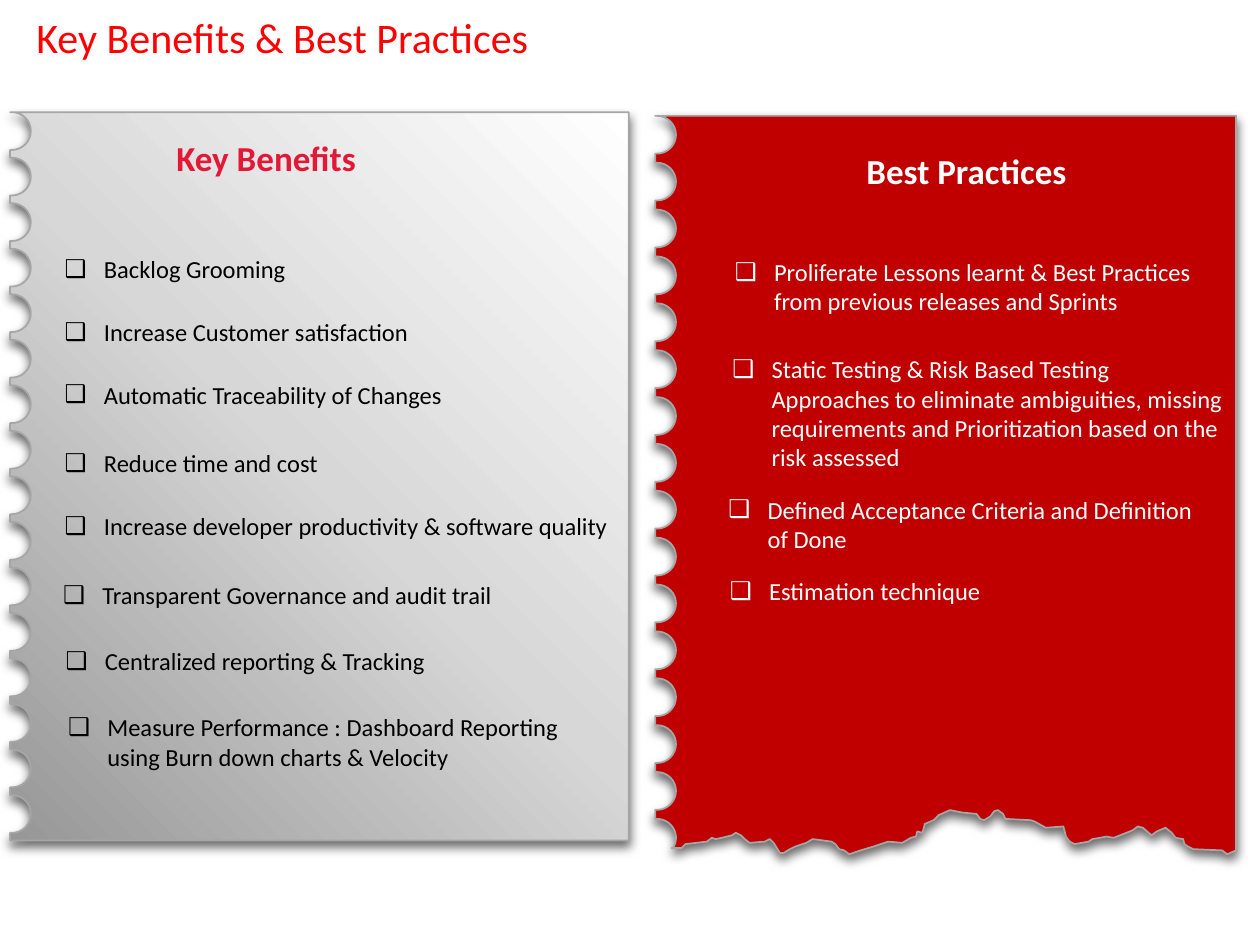
"""Build the Key Benefits and Best Practices slide."""
import math
from copy import deepcopy
from dataclasses import dataclass

from lxml import etree
from pptx import Presentation
from pptx.dml.color import RGBColor
from pptx.enum import text
from pptx.oxml.ns import qn
from pptx.util import Cm, Pt


@dataclass(frozen=True)
class Theme:
    font: str = "Calibri"
    title: str = "FF0000"
    accent: str = "E31837"
    dark: str = "000000"
    light: str = "FFFFFF"
    red: str = "C00000"
    edge: str = "A6A6A6"
    greys: tuple = ((0, "979797"), (0.5, "D7D7D7"), (1, "FFFFFF"))
    title_size: int = 24
    heading_size: int = 20
    body_size: int = 14


@dataclass(frozen=True)
class Box:
    left: float
    top: float
    width: float
    height: float


@dataclass(frozen=True)
class Item:
    words: str
    gap: float = 0
    shift: float = 0
    right: float = 0


@dataclass(frozen=True)
class Panel:
    left: int
    right: int
    top: int
    first_notch: int
    last_notch: int
    bottom: tuple
    last_angle: int = 90


THEME = Theme()
NOTCHES = 16
RADIUS = 15
HANG = 0.79

TORN_EDGE = (
    (981, 675), (974, 678), (970, 675), (947, 674), (943, 672), (940, 670),
    (939, 666), (933, 665), (930, 661), (925, 657), (918, 660), (914, 663),
    (907, 657), (903, 656), (899, 659), (884, 665), (878, 664), (873, 665),
    (867, 666), (864, 668), (853, 670), (849, 668), (846, 664), (844, 656),
    (830, 657), (821, 652), (818, 651), (798, 650), (796, 646), (792, 643),
    (789, 644), (786, 648), (781, 651), (778, 650), (775, 646), (764, 645),
    (754, 643), (745, 647), (741, 651), (734, 654), (733, 658), (732, 661),
    (728, 660), (727, 664), (723, 665), (716, 669), (705, 668), (693, 672),
    (683, 675), (674, 678), (670, 675), (666, 674), (663, 670), (660, 668),
    (645, 666), (640, 669), (631, 672), (627, 674), (622, 677), (619, 677),
    (614, 669), (611, 666), (607, 668), (595, 669), (591, 666), (588, 663),
    (584, 661), (581, 663), (573, 665), (568, 666), (565, 665), (561, 668),
    (544, 670), (541, 673), (533, 673),
)

BENEFITS_PANEL = Panel(8, 499, 89, 104, 646, ((499, 667), (8, 667), (8, 661)))
PRACTICES_PANEL = Panel(520, 981, 92, 107, 665, TORN_EDGE, 34)

BENEFITS = (
    Item("Backlog Grooming", 0, 0.03),
    Item("Increase Customer satisfaction", 19, 0.03),
    Item("Automatic Traceability of Changes", 19, 0.03),
    Item("Reduce time and cost", 22.5, 0.03),
    Item("Increase developer productivity & software quality", 19, 0.03),
    Item("Transparent Governance and audit trail", 22.5),
    Item("Centralized reporting & Tracking", 21, 0.05),
    Item("Measure Performance : Dashboard Reporting using Burn down charts & Velocity", 21, 0.1),
)
PRACTICES = (
    Item("Proliferate Lessons learnt & Best Practices from previous releases and Sprints", 0, 0.13),
    Item("Static Testing & Risk Based Testing Approaches to eliminate ambiguities, "
         "missing requirements and Prioritization based on the risk assessed", 22, 0.08),
    Item("Defined Acceptance Criteria and Definition of Done", 13, 0, 0.43),
    Item("Estimation technique", 13, 0.03),
)


def rgb(value: str) -> RGBColor:
    """Turn a hex string into a colour."""
    return RGBColor.from_string(value)


def outline(panel: Panel) -> list:
    """Return the panel's points, in hundredths of an inch."""
    pts = [(panel.left, panel.top), (panel.right, panel.top), *panel.bottom]
    pitch = (panel.last_notch - panel.first_notch) / (NOTCHES - 1)
    for i in reversed(range(NOTCHES)):
        y = panel.first_notch + i * pitch
        start = panel.last_angle if i == NOTCHES - 1 else 90
        if start == 90:
            pts.append((panel.left, y + RADIUS))
        for step in range(17):
            a = math.radians(start - (start + 90) * step / 16)
            pts.append((panel.left + 1.5 + RADIUS * math.cos(a), y + RADIUS * math.sin(a)))
        pts.append((panel.left, y - RADIUS))
    return [(Cm(x * 0.0254), Cm(y * 0.0254)) for x, y in pts]


def add_shadow(sp) -> None:
    """Give a shape a soft shadow below it."""
    sp.shadow.inherit = False
    effects = sp._element.spPr.find(qn("a:effectLst"))
    shadow = etree.SubElement(effects, qn("a:outerShdw"), blurRad=str(Pt(6)), dist=str(Pt(3)),
                              dir="5400000", algn="t", rotWithShape="0")
    color = etree.SubElement(shadow, qn("a:srgbClr"), val=THEME.dark)
    etree.SubElement(color, qn("a:alpha"), val="58000")


def add_panel(s, panel: Panel):
    """Draw a notched sheet behind the text and return it."""
    start, *rest = outline(panel)
    builder = s.shapes.build_freeform(*start, scale=1.0)
    builder.add_line_segments(rest, close=True)
    sp = builder.convert_to_shape()
    sp.line.color.rgb = rgb(THEME.edge)
    sp.line.width = Pt(1)
    add_shadow(sp)
    s.shapes._spTree.insert(2, sp._element)
    return sp


def fill_greys(sp) -> None:
    """Fill a shape with the three-stop grey gradient."""
    sp.fill.gradient()
    sp.fill.gradient_angle = 45
    stops = sp._element.spPr.find(qn("a:gradFill")).find(qn("a:gsLst"))
    stops.append(deepcopy(stops[0]))
    for stop, (position, color) in zip(sp.fill.gradient_stops, THEME.greys):
        stop.position = position
        stop.color.rgb = rgb(color)


def place(sp, box: Box, anchor):
    """Move a placeholder and return its text frame."""
    sp.left, sp.top, sp.width, sp.height = map(Cm, (box.left, box.top, box.width, box.height))
    tf = sp.text_frame
    tf.word_wrap = True
    tf.auto_size = text.MSO_AUTO_SIZE.NONE
    tf.vertical_anchor = anchor
    return tf


def add_run(p, words: str, size: int, color: str, bold: bool = False) -> None:
    """Append a formatted run."""
    r = p.add_run()
    r.text = words
    r.font.name, r.font.size, r.font.bold = THEME.font, Pt(size), bold
    r.font.color.rgb = rgb(color)


def write_line(sp, box: Box, words: str, size: int, color: str, align, bold: bool = False) -> None:
    """Write a single line in a placeholder."""
    p = place(sp, box, text.MSO_ANCHOR.MIDDLE).paragraphs[0]
    p.alignment = align
    p.space_before = Pt(0)
    add_run(p, words, size, color, bold)


def write_list(sp, box: Box, items: tuple, color: str) -> None:
    """Write a checkbox list in a placeholder."""
    tf = place(sp, box, text.MSO_ANCHOR.TOP)
    for i, item in enumerate(items):
        p = tf.add_paragraph() if i else tf.paragraphs[0]
        pPr = p._p.get_or_add_pPr()
        pPr.set("marL", str(Cm(HANG + item.shift)))
        pPr.set("marR", str(Cm(item.right)))
        pPr.set("indent", str(-Cm(HANG)))
        etree.SubElement(pPr, qn("a:buChar"), char="❑")
        p.space_before = Pt(item.gap)
        add_run(p, item.words, THEME.body_size, color)


def main() -> None:
    """Build and save the slide."""
    prs = Presentation()
    prs.slide_width, prs.slide_height = Cm(25.4), Cm(19.05)
    s = prs.slides.add_slide(prs.slide_layouts[4])
    title, left_head, left_list, right_head, right_list = s.placeholders
    practices = add_panel(s, PRACTICES_PANEL)
    practices.fill.solid()
    practices.fill.fore_color.rgb = rgb(THEME.red)
    fill_greys(add_panel(s, BENEFITS_PANEL))
    center = text.PP_ALIGN.CENTER
    write_line(title, Box(0.48, 0.1, 14.07, 1.27), "Key Benefits & Best Practices",
               THEME.title_size, THEME.title, text.PP_ALIGN.LEFT)
    write_line(left_head, Box(1.02, 2.62, 8.69, 1.12), "Key Benefits",
               THEME.heading_size, THEME.accent, center, True)
    write_line(right_head, Box(14.2, 2.87, 10.57, 1.12), "Best Practices",
               THEME.heading_size, THEME.light, center, True)
    write_list(left_list, Box(1.02, 5, 11.56, 10.72), BENEFITS, THEME.dark)
    write_list(right_list, Box(14.43, 5.05, 10.54, 7.29), PRACTICES, THEME.light)
    prs.save("out.pptx")


if __name__ == "__main__":
    main()
